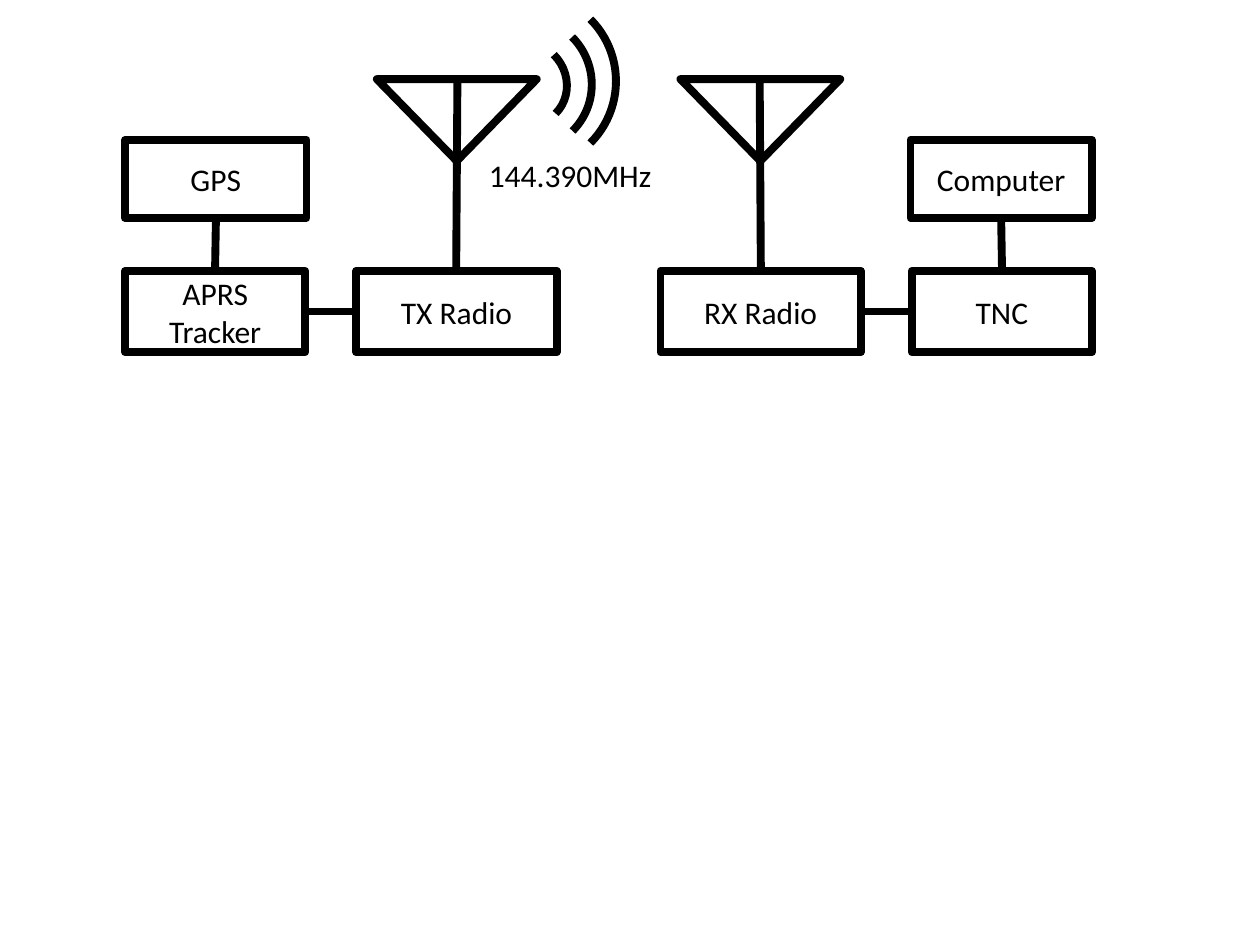
from lxml import etree
from pptx import Presentation
from pptx import util as u
from pptx.dml.color import RGBColor
from pptx.enum import shapes, text
from pptx.oxml.ns import qn

SHAPE = shapes.MSO_SHAPE
MIRROR_WIDTH = 695.5  # x on the left station + x on the right station


def color(hex_string):
    return RGBColor.from_string(hex_string)


class Diagram:
    font, size, weight = "Calibri", 18, 4.5
    ink, paper = "000000", "FFFFFF"

    def __init__(self, slide):
        self.slide = slide
        self.target = slide.shapes
        self.mirrored = False

    def start_mirrored_group(self):
        self.target = self.slide.shapes.add_group_shape().shapes
        self.mirrored = True

    def x(self, left, width=0):
        return MIRROR_WIDTH - left - width if self.mirrored else left

    def stroke(self, line):
        line.color.rgb = color(self.ink)
        line.width = u.Pt(self.weight)

    def add_words(self, tf, words, align):
        p = tf.paragraphs[0]
        p.alignment = align
        r = p.add_run()
        r.text = words
        r.font.name, r.font.size = self.font, u.Pt(self.size)
        r.font.color.rgb = color(self.ink)

    def shape(self, kind, left, top, width, height, rotation=0, filled=True):
        sp = self.target.add_shape(kind, u.Pt(self.x(left, width)), u.Pt(top),
                                   u.Pt(width), u.Pt(height))
        sp.shadow.inherit = False
        sp.rotation = rotation
        if filled:
            sp.fill.solid()
            sp.fill.fore_color.rgb = color(self.paper)
        else:
            sp.fill.background()
        self.stroke(sp.line)
        return sp

    def box(self, words, left, top, width, height):
        tf = self.shape(SHAPE.RECTANGLE, left, top, width, height).text_frame
        tf.word_wrap = True
        tf.vertical_anchor = text.MSO_ANCHOR.MIDDLE
        self.add_words(tf, words, text.PP_ALIGN.CENTER)

    def line(self, x1, y1, x2, y2):
        c = self.target.add_connector(shapes.MSO_CONNECTOR.STRAIGHT,
                                      u.Pt(self.x(x1)), u.Pt(y1), u.Pt(self.x(x2)), u.Pt(y2))
        self.stroke(c.line)
        etree.SubElement(c._element.spPr, qn("a:effectLst"))

    def wave(self, cx, cy, width, height):
        self.shape(SHAPE.ARC, cx - width / 2, cy - height / 2, width, height,
                   rotation=45, filled=False)

    def label(self, words, left, top, width, height):
        tf = self.target.add_textbox(u.Pt(left), u.Pt(top), u.Pt(width), u.Pt(height)).text_frame
        tf.word_wrap = False
        tf.auto_size = text.MSO_AUTO_SIZE.SHAPE_TO_FIT_TEXT
        self.add_words(tf, words, text.PP_ALIGN.LEFT)

    def station(self, radio, modem, device):
        # Antenna
        self.shape(SHAPE.ISOSCELES_TRIANGLE, 215.3, 45.2, 91.4, 46.8, rotation=180)
        self.line(261.4, 45.2, 260.7, 154.8)
        # Equipment
        self.box(radio, 203.6, 154.8, 114.5, 46.5)
        self.box(modem, 71.5, 154.8, 103, 46.5)
        self.box(device, 71.5, 79.9, 103.7, 44.6)
        # Links
        self.line(174.5, 178, 203.6, 178)
        self.line(123.4, 124.5, 122.9, 154.8)


def main():
    prs = Presentation()
    prs.slide_width, prs.slide_height = u.Pt(720), u.Pt(540)
    d = Diagram(prs.slides.add_slide(prs.slide_layouts[6]))

    # Transmitting side
    d.station("TX Radio", "APRS Tracker", "GPS")

    # Radio waves and frequency
    for wave in ((300.2, 47.5, 49, 46), (300.2, 47.9, 76.3, 75.6), (302, 46.4, 100, 100)):
        d.wave(*wave)
    d.label("144.390MHz", 272.2, 85.7, 108.7, 29)

    # Receiving side
    d.start_mirrored_group()
    d.station("RX Radio", "TNC", "Computer")

    prs.save("out.pptx")


if __name__ == "__main__":
    main()
